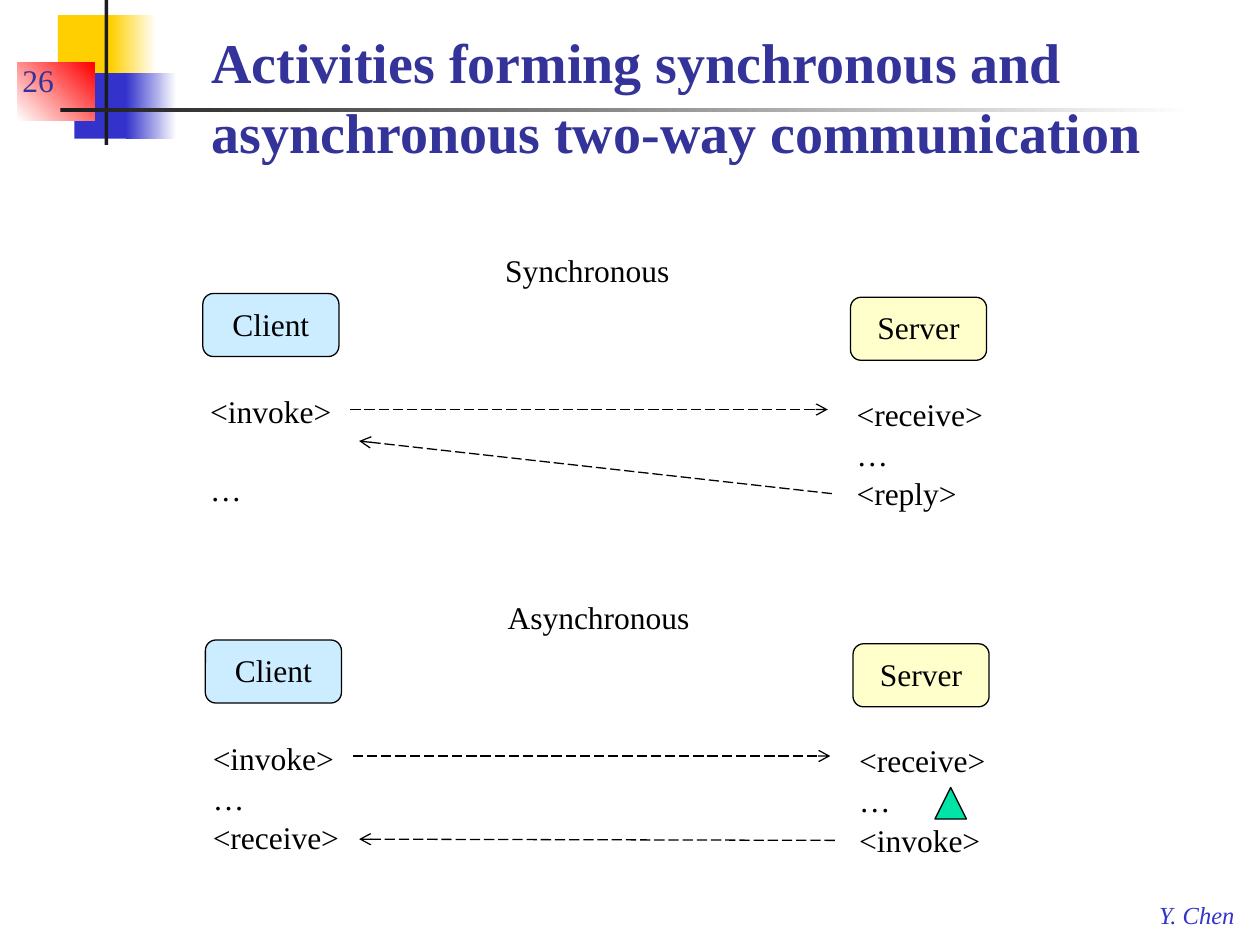
from lxml.etree import SubElement
from pptx import Presentation
from pptx.dml.color import RGBColor
from pptx.enum.dml import MSO_LINE_DASH_STYLE as Dash
from pptx.enum.shapes import MSO_CONNECTOR as Connector, MSO_SHAPE as Shape
from pptx.enum.text import MSO_ANCHOR as Anchor, PP_ALIGN as Align
from pptx.oxml.ns import qn
from pptx.util import Inches, Pt

COLORS = {
    "black": "000000", "white": "FFFFFF", "ink": "1C1C1C", "yellow": "FFCF01",
    "blue": "3333CC", "red": "FF0000", "title": "333399", "client": "CCECFF",
    "server": "FFFFCC", "marker": "00E4A8",
}


def rgb(name):
    return RGBColor.from_string(COLORS[name])


def write(frame, text, size=18, color="black", bold=False, italic=False,
          align=Align.LEFT, anchor=Anchor.TOP, wrap=False, gap_before_last=0):
    frame.word_wrap = wrap
    frame.vertical_anchor = anchor
    frame.text = text
    for paragraph in frame.paragraphs:
        paragraph.alignment = align
        paragraph.line_spacing = 1.05
        font = paragraph.font
        font.name, font.size = "Times New Roman", Pt(size)
        font.bold, font.italic = bold, italic
        font.color.rgb = rgb(color)
    if gap_before_last:
        frame.paragraphs[-1].space_before = Pt(gap_before_last)


class SlideBuilder:
    line_width = Pt(0.75)

    def __init__(self, slide):
        self.slide = slide

    def shape(self, kind, box, fill, fade_to=None, angle=0, outlined=False):
        shape = self.slide.shapes.add_shape(kind, *map(Inches, box))
        shape.shadow.inherit = False
        if fade_to:
            shape.fill.gradient()
            shape.fill.gradient_angle = angle
            for stop, name in zip(shape.fill.gradient_stops, (fill, fade_to)):
                stop.color.rgb = rgb(name)
        else:
            shape.fill.solid()
            shape.fill.fore_color.rgb = rgb(fill)
        if outlined:
            shape.line.color.rgb = rgb("black")
            shape.line.width = self.line_width
        else:
            shape.line.fill.background()
        return shape

    def text(self, box, text, **style):
        write(self.slide.shapes.add_textbox(*map(Inches, box)).text_frame, text, **style)

    def node(self, left, top, text, fill):
        shape = self.shape(Shape.ROUNDED_RECTANGLE, (left, top, 1.08, 0.5), fill, outlined=True)
        write(shape.text_frame, text, align=Align.CENTER, wrap=True)

    def arrow(self, start, end, arrowhead):
        connector = self.slide.shapes.add_connector(
            Connector.STRAIGHT, *map(Inches, (*start, *end)))
        connector.line.color.rgb = rgb("black")
        connector.line.width = self.line_width
        connector.line.dash_style = Dash.LONG_DASH
        properties = connector._element.spPr
        SubElement(properties.find(qn("a:ln")), qn(f"a:{arrowhead}"), type="arrow")
        SubElement(properties, qn("a:effectLst"))

    def exchange(self, x, y, heading, heading_width, client_steps, server_steps,
                 client_gap, reply_start, reply_end):
        self.node(x + 1.61, y + 2.33, "Client", "client")
        self.text((x + 3.91, y + 1.93, heading_width, 0.4), heading)
        self.text((x + 1.57, y + 3.05, 1.22, 1.01), client_steps, gap_before_last=client_gap)
        self.node(x + 6.75, y + 2.36, "Server", "server")
        self.text((x + 6.7, y + 3.07, 1.22, 1.01), server_steps)
        self.arrow((x + 2.78, y + 3.25), (x + 6.57, y + 3.25), "tailEnd")
        self.arrow(reply_start, reply_end, "headEnd")


def main():
    presentation = Presentation()
    presentation.slide_width, presentation.slide_height = Inches(10), Inches(7.5)
    slide = presentation.slides.add_slide(presentation.slide_layouts[6])
    builder = SlideBuilder(slide)

    for box, fill, fade_to, angle in (
        ((0.46, 0.12, 0.48, 0.52), "yellow", None, 0),
        ((0.88, 0.12, 0.36, 0.52), "yellow", "white", 0),
        ((0.59, 0.58, 0.46, 0.52), "blue", None, 0),
        ((1, 0.58, 0.4, 0.52), "blue", "white", 0),
        ((0.14, 0.5, 0.61, 0.46), "white", "red", 45),
        ((0.83, 0, 0.03, 1.15), "ink", None, 0),
        ((0.48, 0.86, 9, 0.03), "ink", "white", 0),
    ):
        builder.shape(Shape.RECTANGLE, box, fill, fade_to, angle)

    builder.text((9.1, 7.08, 0.82, 0.33), "Y. Chen", size=14, color="blue", italic=True)
    builder.text((1.58, 0.17, 8.33, 1.19),
                 "Activities forming synchronous and asynchronous two-way communication",
                 size=32, color="title", bold=True, anchor=Anchor.BOTTOM, wrap=True)
    builder.text((0.08, 0.33, 0.78, 0.5), "26", color="title", anchor=Anchor.BOTTOM, wrap=True)

    builder.exchange(0, 0, "Synchronous", 1.58, "<invoke>\n…", "<receive>\n…\n<reply>",
                     21.6, (2.85, 3.5), (6.62, 3.92))
    builder.exchange(0.02, 2.75, "Asynchronous", 1.72, "<invoke>\n…\n<receive>",
                     "<receive>\n…\n<invoke>", 0, (2.85, 6.66), (6.64, 6.67))
    builder.shape(Shape.ISOSCELES_TRIANGLE, (7.42, 6.25, 0.25, 0.25), "marker", outlined=True)

    presentation.save("out.pptx")


if __name__ == "__main__":
    main()
